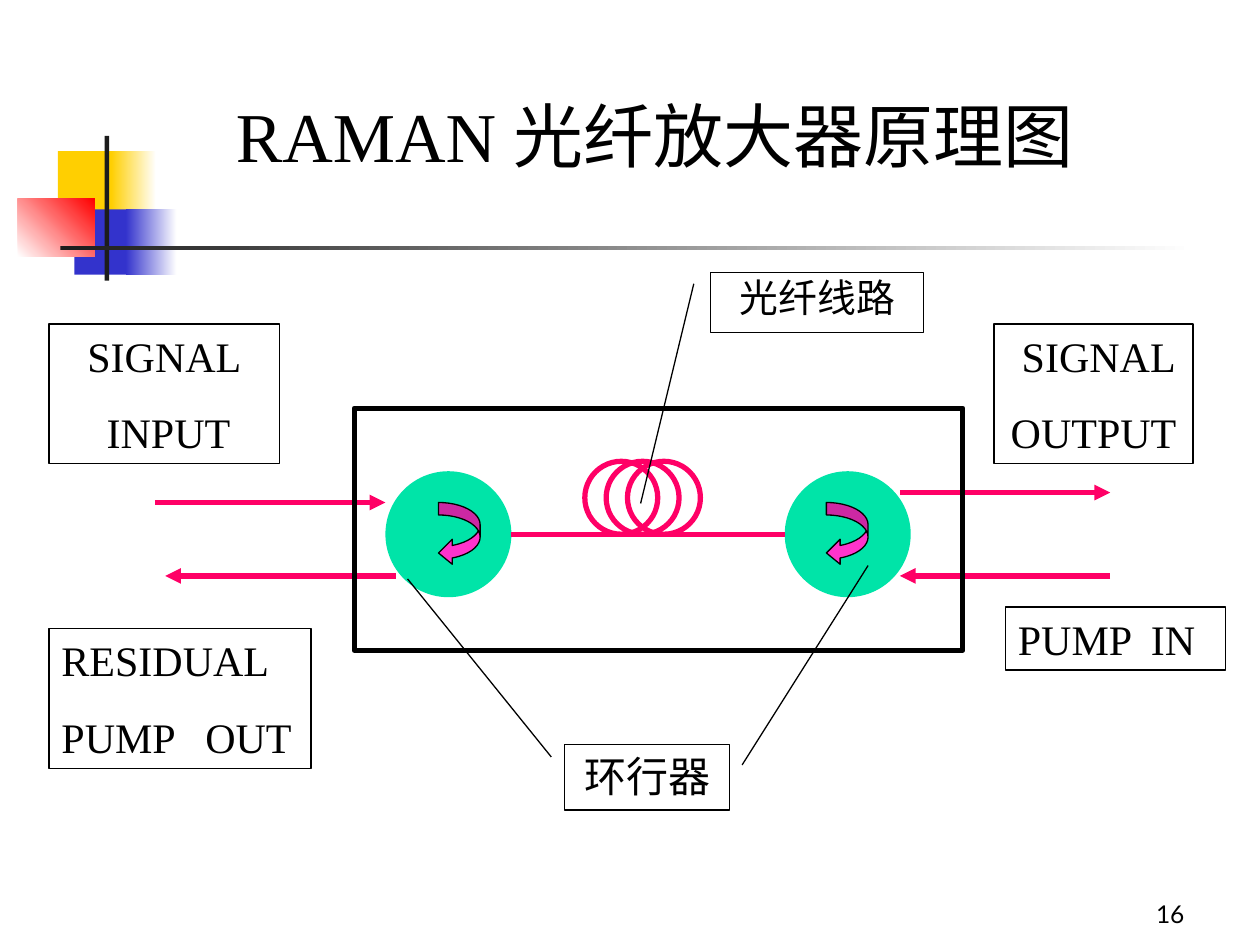
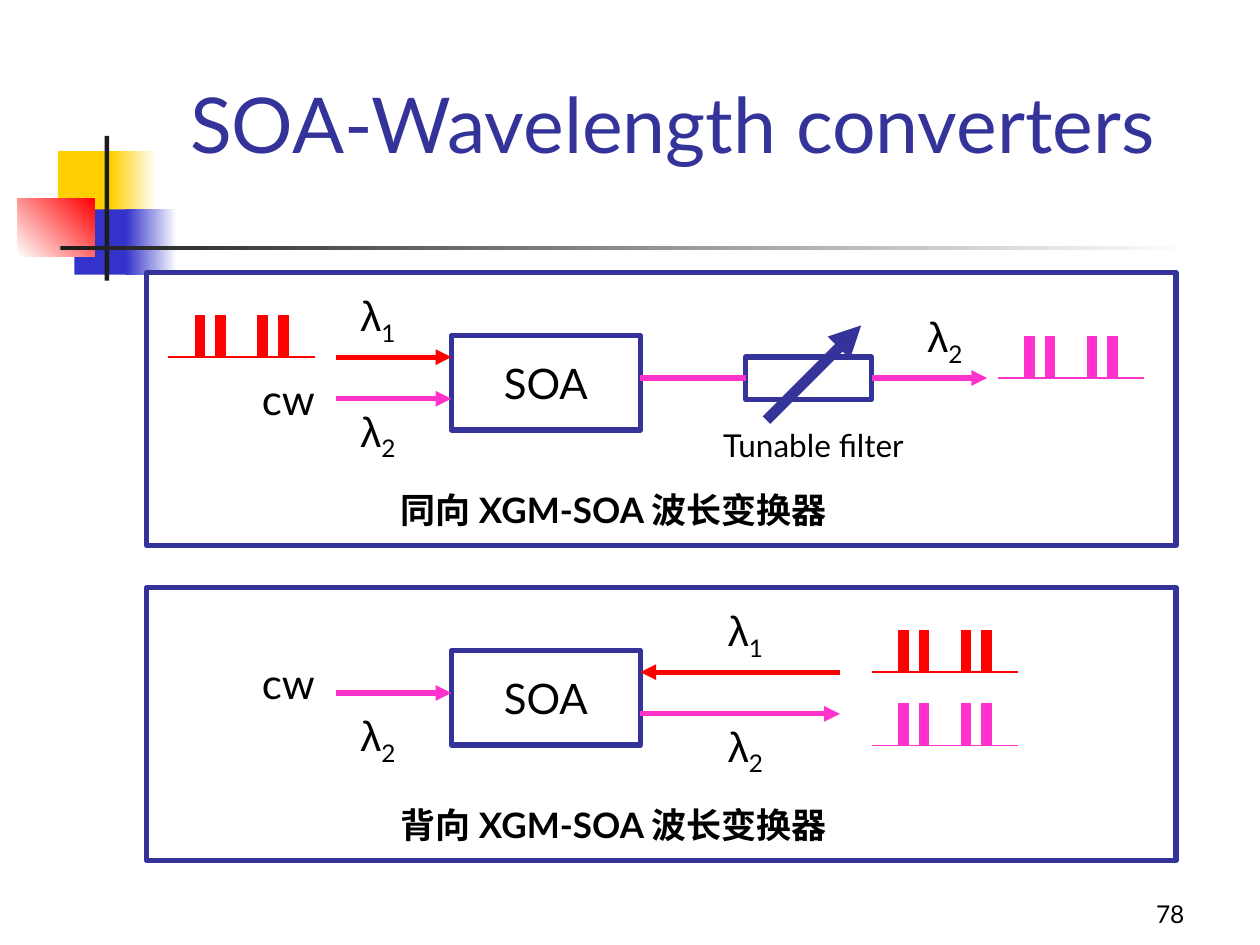
from lxml.etree import SubElement
from pptx import Presentation
from pptx.dml.color import RGBColor
from pptx.enum.shapes import MSO_CONNECTOR, MSO_SHAPE
from pptx.enum.text import MSO_ANCHOR, MSO_AUTO_SIZE, PP_ALIGN
from pptx.oxml.ns import qn
from pptx.util import Cm, Pt

COLORS = {
    "black": "000000", "white": "FFFFFF", "ink": "1C1C1C", "yellow": "FFCF01",
    "blue": "3333CC", "navy": "333399", "red": "FF0000", "rose": "FF0066",
    "pink": "FF33CC", "green": "00E4A8",
}
SERIF, SANS, GREEK = "Times New Roman", "Lato", "Arial"
LEFT, CENTER, RIGHT = PP_ALIGN.LEFT, PP_ALIGN.CENTER, PP_ALIGN.RIGHT
TITLE_ONLY = 5

# left, top, width, height, first colour, last colour, gradient angle
DECORATION = [
    (1.17, 3.05, 1.22, 1.32, "yellow", None, 0),
    (2.24, 3.05, 0.91, 1.32, "yellow", "white", 0),
    (1.5, 4.22, 1.17, 1.32, "blue", None, 0),
    (2.54, 4.22, 1.02, 1.32, "blue", "white", 0),
    (0.36, 4.01, 1.55, 1.17, "white", "red", 45),
    (2.11, 2.74, 0.09, 2.92, "ink", None, 0),
    (1.22, 4.95, 22.86, 0.09, "ink", "white", 0),
]


def rgb(name):
    return RGBColor.from_string(COLORS[name])


class Deck:
    """Holds the shared style and the slide being drawn; lengths are in cm."""

    def __init__(self):
        self.prs = Presentation()
        self.prs.slide_width, self.prs.slide_height = Cm(25.4), Cm(19.05)
        self.s = None

    def new_slide(self, number):
        self.s = self.prs.slides.add_slide(self.prs.slide_layouts[TITLE_ONLY])
        for left, top, width, height, first, last, angle in DECORATION:
            sp = self.shape(MSO_SHAPE.RECTANGLE, left, top, width, height, fill=first)
            if last:
                sp.fill.gradient()
                sp.fill.gradient_angle = angle
                for stop, color in zip(sp.fill.gradient_stops, (first, last)):
                    stop.color.rgb = rgb(color)
        self.label(18.85, 17.58, 5.28, 1.27, number, size=14, align=RIGHT,
                   anchor=MSO_ANCHOR.BOTTOM)

    def title(self, left, top, width, height, text, inset=True, **style):
        sp = self.s.shapes.title
        sp.left, sp.top, sp.width, sp.height = Cm(left), Cm(top), Cm(width), Cm(height)
        self.set_text(sp, text, **style)
        if not inset:
            tf = sp.text_frame
            tf.margin_left = tf.margin_right = tf.margin_top = tf.margin_bottom = 0

    def shape(self, kind, left, top, width, height, fill=None, line=None, weight=0.75,
              adjust=()):
        sp = self.s.shapes.add_shape(kind, Cm(left), Cm(top), Cm(width), Cm(height))
        sp.shadow.inherit = False
        if fill:
            sp.fill.solid()
            sp.fill.fore_color.rgb = rgb(fill)
        else:
            sp.fill.background()
        if line:
            sp.line.color.rgb = rgb(line)
            sp.line.width = Pt(weight)
        else:
            sp.line.fill.background()
        for i, value in enumerate(adjust):
            sp.adjustments[i] = value
        return sp

    def line(self, x1, y1, x2, y2, color, weight=3, arrow=False):
        cxn = self.s.shapes.add_connector(MSO_CONNECTOR.STRAIGHT,
                                          Cm(x1), Cm(y1), Cm(x2), Cm(y2))
        cxn.line.color.rgb = rgb(color)
        cxn.line.width = Pt(weight)
        sp_pr = cxn._element.spPr
        if arrow:
            SubElement(sp_pr.get_or_add_ln(), qn("a:tailEnd"), type="triangle")
        SubElement(sp_pr, qn("a:effectLst"))

    def arrow(self, x1, y1, x2, y2, color, weight=3):
        self.line(x1, y1, x2, y2, color, weight, arrow=True)

    def set_text(self, sp, text, font=SANS, size=24, color="black", bold=False, align=CENTER,
                 anchor=MSO_ANCHOR.TOP, wrap=True, tab=None, spacing=None):
        """Put text in a shape, one paragraph a line."""
        tf = sp.text_frame
        tf.text = text
        tf.word_wrap = wrap
        tf.auto_size = MSO_AUTO_SIZE.NONE
        tf.vertical_anchor = anchor
        for i, p in enumerate(tf.paragraphs):
            if tab:
                tabs = SubElement(p._p.get_or_add_pPr(), qn("a:tabLst"))
                SubElement(tabs, qn("a:tab"), pos=str(Cm(tab)), algn="l")
            p.alignment = align
            p.space_before = Pt(15 if i else 0)
            if spacing:
                p.line_spacing = spacing
            for r in p.runs:
                r.font.name, r.font.size, r.font.bold = font, Pt(size), bold
                r.font.color.rgb = rgb(color)
        return tf

    def label(self, left, top, width, height, text, **style):
        sp = self.s.shapes.add_textbox(Cm(left), Cm(top), Cm(width), Cm(height))
        return self.set_text(sp, text, **style)

    def boxed(self, left, top, width, height, text, **style):
        sp = self.shape(MSO_SHAPE.RECTANGLE, left, top, width, height, line="black")
        return self.set_text(sp, text, font=SERIF, **style)

    def callout(self, left, top, width, height, text, adjust, **style):
        sp = self.shape(MSO_SHAPE.LINE_CALLOUT_1, left, top, width, height, line="black",
                        adjust=adjust)
        self.set_text(sp, text, font=SERIF, **style)

    def wavelength(self, left, top, index):
        """Set λ with a subscript index."""
        p = self.label(left, top, 1.7, 1.42, "λ", font=GREEK).paragraphs[0]
        r = p.add_run()
        r.text = index
        r.font.name, r.font.size = SANS, Pt(24)
        r.font.color.rgb = rgb("black")
        r._r.get_or_add_rPr().set("baseline", "-25000")

    def pulses(self, left, base, color):
        """Draw a bit train 1 1 0 1 1 on a base line."""
        self.line(left, base, left + 2.96, base, color, 1)
        for slot in (0, 1, 3, 4):
            x = left + 0.64 + slot * 0.42
            self.line(x, base - 0.85, x, base, color, 6)

    def soa_panel(self, top, caption):
        self.shape(MSO_SHAPE.RECTANGLE, 2.96, top, 20.75, 5.5, line="navy", weight=3)
        sp = self.shape(MSO_SHAPE.RECTANGLE, 9.1, top + 1.27, 3.81, 1.9, line="navy", weight=3)
        self.set_text(sp, "SOA", anchor=MSO_ANCHOR.MIDDLE, wrap=False)
        self.label(7.83, top + 4.23, 10.8, 1.12, caption, size=20, bold=True, align=LEFT)


def raman_slide(deck):
    deck.new_slide("16")
    deck.title(4.5, 1.73, 18.62, 1.96, "RAMAN 光纤放大器原理图", font=SERIF, size=40, align=LEFT)

    for circulator_left in (7.77, 15.82):
        deck.shape(MSO_SHAPE.OVAL, circulator_left, 9.5, 2.54, 2.54, fill="green")
    deck.line(10.31, 10.77, 15.82, 10.77, "rose")
    for coil in range(3):
        deck.shape(MSO_SHAPE.OVAL, 11.79 + coil * 0.43, 9.3, 1.47, 1.47, line="rose", weight=3)
    for turn_left in (8.84, 16.66):
        deck.shape(MSO_SHAPE.CURVED_LEFT_ARROW, turn_left, 10.13, 0.84, 1.27, fill="pink",
                   line="black", adjust=(0.3, 0.6, 0.33))
    for x1, x2, y in ((3.12, 7.77, 10.13), (18.14, 22.38, 9.93),
                      (22.38, 18.14, 11.61), (7.98, 3.33, 11.61)):
        deck.arrow(x1, y, x2, y, "rose")
    deck.shape(MSO_SHAPE.RECTANGLE, 7.14, 8.23, 12.27, 4.88, line="black", weight=3)

    tf = deck.boxed(0.99, 6.53, 4.65, 2.82, "SIGNAL\nINPUT")
    tf.paragraphs[1].alignment = LEFT
    tf.paragraphs[1]._p.get_or_add_pPr().set("marL", str(Cm(0.91)))
    tf = deck.boxed(20.04, 6.53, 4.01, 2.82, "SIGNAL\nOUTPUT")
    tf.paragraphs[0]._p.get_or_add_pPr().set("marL", str(Cm(0.21)))
    deck.boxed(20.27, 12.24, 4.44, 1.27, "PUMP\tIN", align=LEFT, tab=2.68)
    deck.boxed(0.99, 12.67, 5.28, 2.82, "RESIDUAL\nPUMP\tOUT", align=LEFT, tab=2.9)

    deck.callout(11.38, 15.01, 3.33, 1.32, "环行器", (0.19, -0.08, -2.53, -0.95))
    deck.callout(14.33, 5.49, 4.29, 1.22, "光纤线路", (0.19, -0.08, 3.82, -0.33),
                 size=22.2, spacing=0.9)
    deck.line(17.5, 11.4, 14.96, 15.42, "black", 0.75)


def soa_slide(deck):
    deck.new_slide("78")
    deck.title(2.74, 1.47, 21.64, 1.93, "SOA-Wavelength converters", inset=False, size=44,
               color="navy", anchor=MSO_ANCHOR.BOTTOM)

    deck.soa_panel(5.5, "同向 XGM-SOA 波长变换器")
    deck.shape(MSO_SHAPE.RECTANGLE, 15.03, 7.2, 2.54, 0.85, line="navy", weight=3)
    deck.arrow(15.45, 8.47, 17.36, 6.56, "navy", 6)
    deck.line(12.91, 7.62, 15.03, 7.62, "pink")
    deck.label(13.76, 8.47, 5.28, 1.02, "Tunable filter", size=18)

    deck.soa_panel(11.85, "背向 XGM-SOA 波长变换器")

    for x1, x2, y, color in (
        (6.77, 9.1, 7.2, "red"), (6.77, 9.1, 8.04, "pink"), (17.57, 19.9, 7.62, "pink"),
        (16.93, 12.91, 13.55, "red"), (6.77, 9.1, 13.97, "pink"),
        (12.91, 16.93, 14.39, "pink"),
    ):
        deck.arrow(x1, y, x2, y, color)
    for left, base, color in ((3.39, 7.2, "red"), (20.11, 7.62, "pink"),
                              (17.57, 13.55, "red"), (17.57, 15.03, "pink")):
        deck.pulses(left, base, color)
    for left, top, index in ((6.77, 5.72, "1"), (6.77, 8.04, "2"), (18.2, 6.14, "2"),
                             (14.18, 12.07, "1"), (6.77, 14.18, "2"), (14.18, 14.39, "2")):
        deck.wavelength(left, top, index)
    for top in (7.41, 13.12):
        deck.label(4.44, top, 2.75, 1.27, "cw")


def main():
    deck = Deck()
    raman_slide(deck)
    soa_slide(deck)
    deck.prs.save("out.pptx")


if __name__ == "__main__":
    main()
